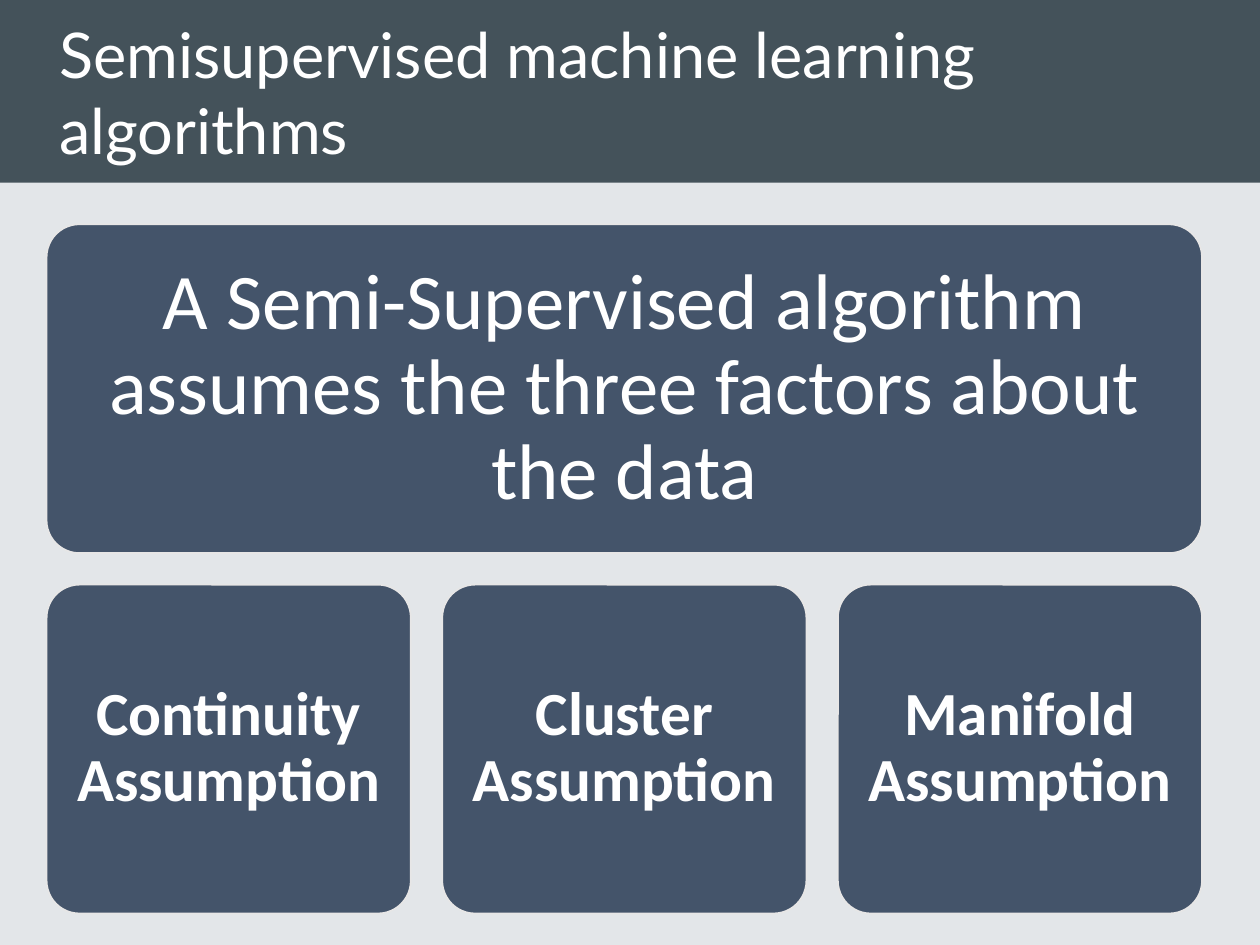
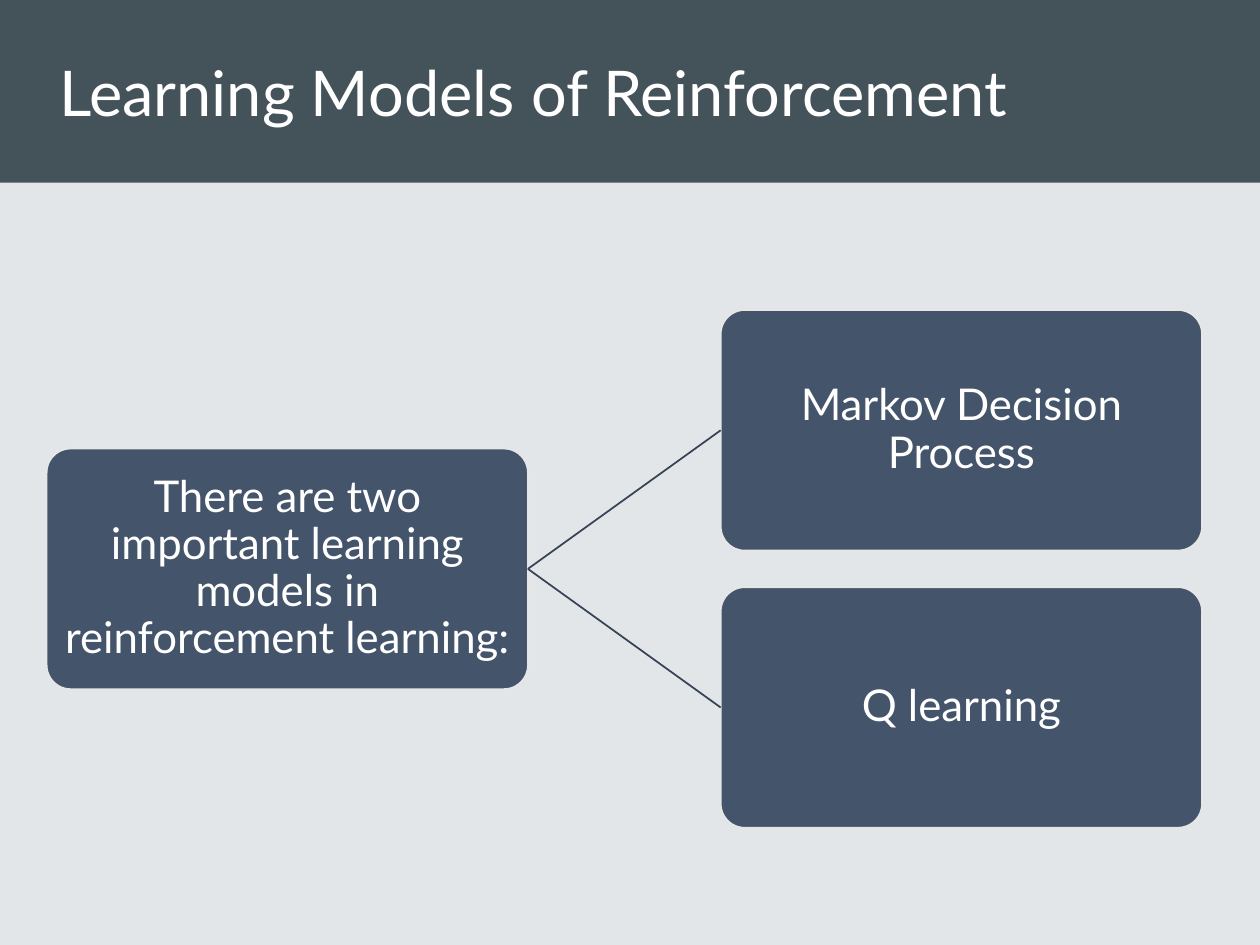
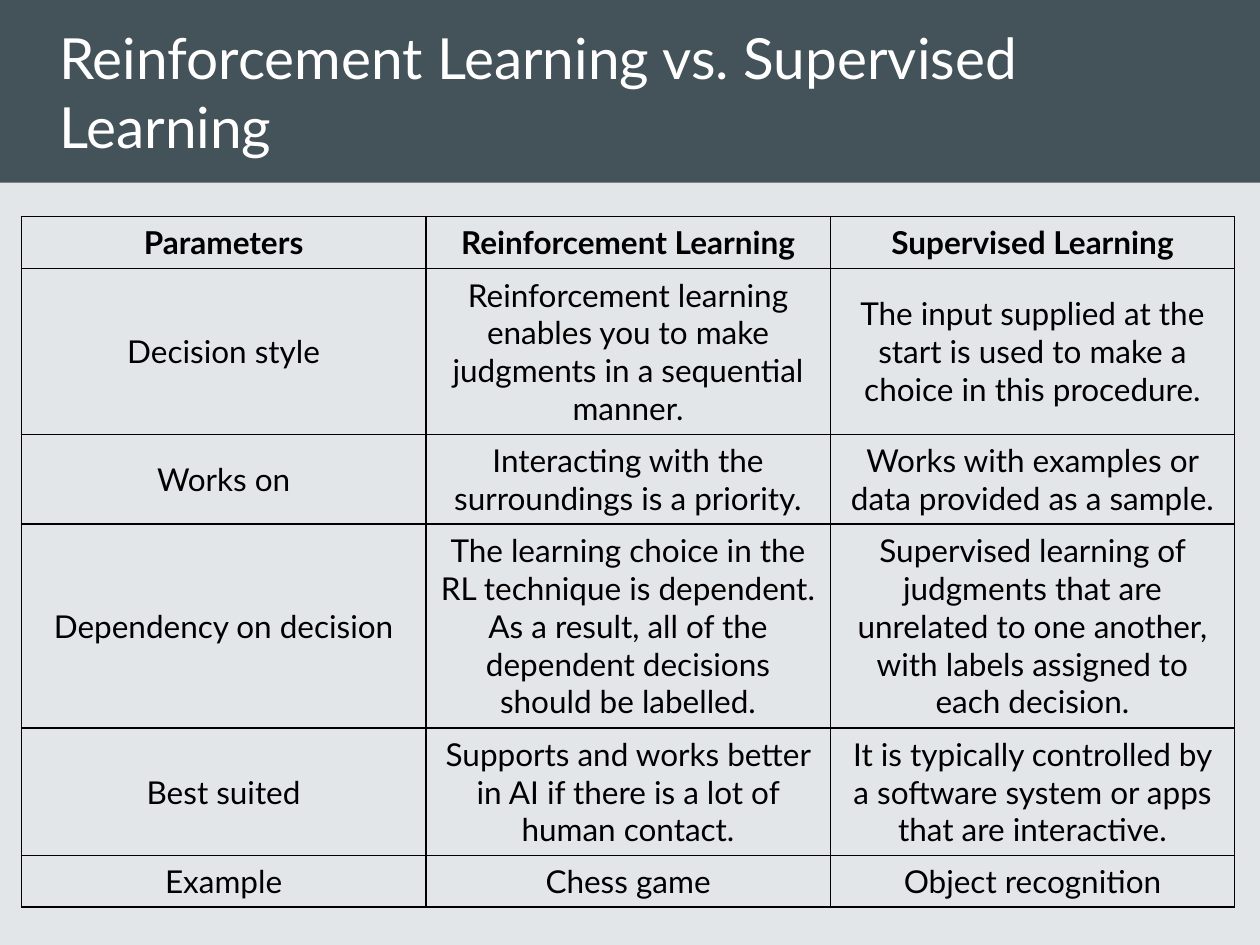
from lxml import etree
from pptx import Presentation
from pptx import util as u
from pptx.dml.color import RGBColor
from pptx.enum import shapes, text
from pptx.oxml import parse_xml
from pptx.oxml.ns import nsdecls, qn

BACKGROUND = RGBColor(0xE3, 0xE6, 0xE9)
BAND = RGBColor(0x44, 0x52, 0x5A)
BOX = RGBColor(0x44, 0x54, 0x6A)
BOX_EDGE = RGBColor(0xE7, 0xE6, 0xE6)
LINK = RGBColor(0x36, 0x43, 0x55)
WHITE = RGBColor(0xFF, 0xFF, 0xFF)
BLACK = RGBColor(0x00, 0x00, 0x00)
LATO = "Lato"
CALIBRI = "Calibri"
LEFT = 0.37
WIDTH = 9.17
BAND_HEIGHT = 1.45

COMPARISON = [
    ("Parameters", "Reinforcement Learning", "Supervised Learning"),
    ("Decision style",
     "Reinforcement learning enables you to make judgments in a sequential manner.",
     "The input supplied at the start is used to make a choice in this procedure."),
    ("Works on",
     "Interacting with the surroundings is a priority.",
     "Works with examples or data provided as a sample."),
    ("Dependency on decision",
     "The learning choice in the RL technique is dependent. As a result, all of the "
     "dependent decisions should be labelled.",
     "Supervised learning of judgments that are unrelated to one another, with labels "
     "assigned to each decision."),
    ("Best suited",
     "Supports and works better in AI if there is a lot of human contact.",
     "It is typically controlled by a software system or apps that are interactive."),
    ("Example", "Chess game", "Object recognition"),
]
ROW_HEIGHTS = [0.41, 1.32, 0.71, 1.62, 1.01, 0.41]


class Deck:
    def __init__(self):
        self.presentation = Presentation()
        self.presentation.slide_width = u.Inches(10)
        self.presentation.slide_height = u.Inches(7.5)
        self.layout = self.presentation.slide_layouts.get_by_name("Title Only")
        self.slide = None
        fill = self.presentation.slide_master.background.fill
        fill.solid()
        fill.fore_color.rgb = BACKGROUND
        for placeholder in list(self.layout.placeholders):
            if placeholder.placeholder_format.idx >= 10:
                self.layout.shapes.element.remove(placeholder.element)

    def shape(self, kind, left, top, width, height, color):
        shape = self.slide.shapes.add_shape(
            kind, u.Inches(left), u.Inches(top), u.Inches(width), u.Inches(height))
        shape.shadow.inherit = False
        shape.fill.solid()
        shape.fill.fore_color.rgb = color
        shape.line.fill.background()
        return shape

    def set_text(self, frame, words, size, font, color, align, bold=False):
        frame.text = words
        paragraph = frame.paragraphs[0]
        paragraph.alignment = align
        run_font = paragraph.runs[0].font
        run_font.size = u.Pt(size)
        run_font.name = font
        run_font.bold = bold
        run_font.color.rgb = color
        return paragraph

    def add_slide(self, words, size=36):
        first = self.slide is None
        self.slide = self.presentation.slides.add_slide(self.layout)
        if first:
            band = self.shape(shapes.MSO_SHAPE.RECTANGLE, 0, 0, 10, BAND_HEIGHT, BAND)
            self.layout.shapes.element.insert(2, band.element)
        title = self.slide.shapes.title
        title.left, title.top = u.Inches(LEFT), u.Inches(0)
        title.width, title.height = u.Inches(WIDTH), u.Inches(BAND_HEIGHT)
        frame = title.text_frame
        frame.auto_size = text.MSO_AUTO_SIZE.NONE
        frame.vertical_anchor = text.MSO_ANCHOR.MIDDLE
        self.set_text(frame, words, size, LATO, WHITE, text.PP_ALIGN.LEFT)

    def box(self, words, left, top, width, height, size, font, inset, bold=False):
        box = self.shape(shapes.MSO_SHAPE.ROUNDED_RECTANGLE, left, top, width, height, BOX)
        box.adjustments[0] = 0.1
        box.line.color.rgb = BOX_EDGE
        box.line.width = u.Pt(1)
        frame = box.text_frame
        frame.word_wrap = True
        frame.vertical_anchor = text.MSO_ANCHOR.MIDDLE
        frame.margin_left = frame.margin_right = u.Inches(inset)
        frame.margin_top = frame.margin_bottom = u.Inches(inset)
        paragraph = self.set_text(frame, words, size, font, WHITE, text.PP_ALIGN.CENTER, bold)
        paragraph.line_spacing = 0.9
        return box

    def link(self, start, end):
        connector = self.slide.shapes.add_connector(shapes.MSO_CONNECTOR.STRAIGHT, 0, 0, 0, 0)
        connector.begin_connect(start, 3)
        connector.end_connect(end, 1)
        connector.line.color.rgb = LINK
        connector.line.width = u.Pt(1)
        etree.SubElement(connector.element.spPr, qn("a:effectLst"))

    def table(self, rows, left, top, column_width, row_heights):
        columns = len(rows[0])
        table = self.slide.shapes.add_table(
            len(rows), columns, u.Inches(left), u.Inches(top),
            u.Inches(column_width * columns), u.Inches(sum(row_heights))).table
        table.horz_banding = False
        for column in table.columns:
            column.width = u.Inches(column_width)
        for index, (row, height) in enumerate(zip(rows, row_heights)):
            table.rows[index].height = u.Inches(height)
            for cell, words in zip(table.rows[index].cells, row):
                cell.vertical_anchor = text.MSO_ANCHOR.MIDDLE
                self.set_text(cell.text_frame, words, 18, LATO, BLACK,
                              text.PP_ALIGN.CENTER, bold=index == 0)
                self.cell_borders(cell)
                cell.fill.background()

    def cell_borders(self, cell):
        properties = cell._tc.get_or_add_tcPr()
        for side in "LRTB":
            properties.append(parse_xml(
                f'<a:ln{side} {nsdecls("a")} w="{u.Pt(1)}"><a:solidFill>'
                f'<a:srgbClr val="{BLACK}"/></a:solidFill></a:ln{side}>'))


def assumptions_slide(deck):
    deck.add_slide("Semisupervised machine learning algorithms")
    height, gap = 2.61, 0.25
    deck.box("A Semi-Supervised algorithm assumes the three factors about the data",
             LEFT, 1.78, WIDTH, height, 45, CALIBRI, 0.19)
    names = ["Continuity", "Cluster", "Manifold"]
    width = (WIDTH - gap * (len(names) - 1)) / len(names)
    for index, name in enumerate(names):
        deck.box(f"{name} Assumption", LEFT + index * (width + gap), 4.64, width, height,
                 35, CALIBRI, 0.15, bold=True)


def models_slide(deck):
    deck.add_slide("Learning Models of Reinforcement")
    width, height = 3.82, 1.91
    tops = {"Markov Decision Process": 2.46, "Q learning": 4.66}
    root_top = sum(tops.values()) / len(tops)
    root = deck.box("There are two important learning models in reinforcement learning:",
                    LEFT, root_top, width, height, 25, LATO, 0.02)
    for model, top in tops.items():
        branch = deck.box(model, LEFT + WIDTH - width, top, width, height, 25, LATO, 0.02)
        deck.link(root, branch)


def comparison_slide(deck):
    deck.add_slide("Reinforcement Learning vs. Supervised Learning", size=32.4)
    deck.table(COMPARISON, 0.17, 1.72, 3.21, ROW_HEIGHTS)


def main():
    deck = Deck()
    assumptions_slide(deck)
    models_slide(deck)
    comparison_slide(deck)
    deck.presentation.save("out.pptx")


if __name__ == "__main__":
    main()
